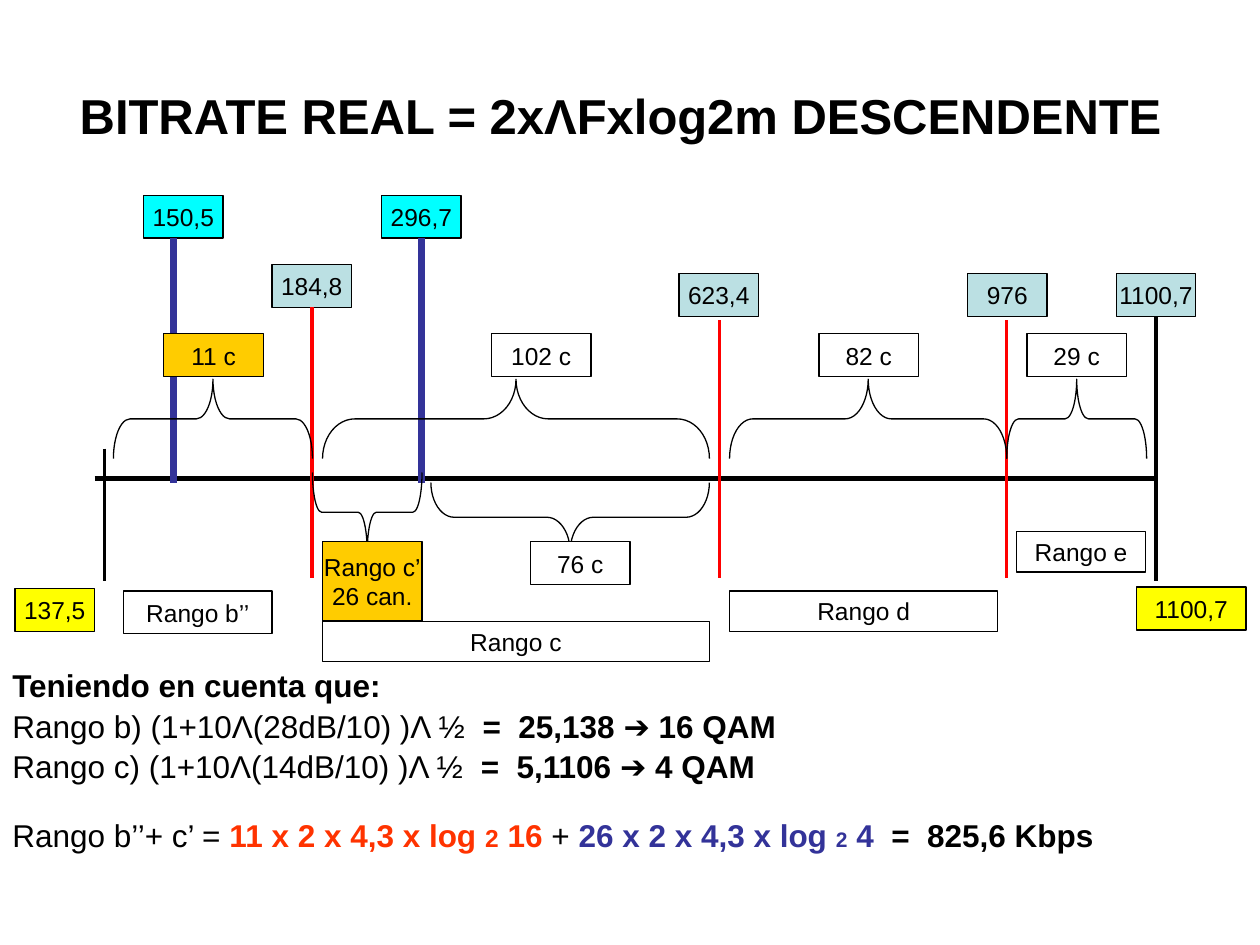
from lxml import etree
from pptx import Presentation
from pptx import util as u
from pptx.dml.color import RGBColor
from pptx.enum import shapes, text
from pptx.oxml import ns

COLORS = {
    "black": "000000",
    "white": "FFFFFF",
    "red": "FF0000",
    "orange_red": "FF3300",
    "navy": "333399",
    "cyan": "00FFFF",
    "pale_blue": "BBE0E3",
    "yellow": "FFFF00",
    "amber": "FFCC00",
}
MARKER_W, COUNT_W, LABEL_H, RANGE_H = 0.63, 0.79, 0.34, 0.32
TOP, BOTTOM = 0, 2


def rgb(name):
    return RGBColor.from_string(COLORS[name])


def write(frame, paragraphs, size=14, bold=False, color="black",
          align=text.PP_ALIGN.LEFT, anchor=text.MSO_ANCHOR.TOP, wrap=True, before=0):
    frame.word_wrap = wrap
    frame.vertical_anchor = anchor
    for index, pieces in enumerate(paragraphs):
        paragraph = frame.paragraphs[0] if index == 0 else frame.add_paragraph()
        paragraph.alignment = align
        paragraph.space_before = u.Pt(before)
        for wording, changes in pieces:
            run = paragraph.add_run()
            run.text = wording
            run.font.name = "Arial"
            run.font.size = u.Pt(changes.get("size", size))
            run.font.bold = changes.get("bold", bold)
            run.font.color.rgb = rgb(changes.get("color", color))


def add_label(slide, wording, left, top, width, height=LABEL_H, fill="white"):
    label = slide.shapes.add_shape(
        shapes.MSO_SHAPE.RECTANGLE,
        u.Inches(left), u.Inches(top), u.Inches(width), u.Inches(height))
    label.shadow.inherit = False
    label.fill.solid()
    label.fill.fore_color.rgb = rgb(fill)
    label.line.color.rgb = rgb("black")
    label.line.width = u.Pt(0.75)
    write(label.text_frame, [[(line, {})] for line in wording.split("\n")],
          align=text.PP_ALIGN.CENTER, anchor=text.MSO_ANCHOR.MIDDLE, wrap=False)
    return label


def add_line(slide, start, end, color="black", width=2, source=None):
    line = slide.shapes.add_connector(
        shapes.MSO_CONNECTOR.STRAIGHT, *map(u.Inches, (*start, *end)))
    line.line.color.rgb = rgb(color)
    line.line.width = u.Pt(width)
    etree.SubElement(line._element.spPr, ns.qn("a:effectLst"))
    if source is not None:
        line.begin_connect(source, BOTTOM)


def add_brace(slide, start, end, top, depth=0.63, rotation=90):
    span = end - start
    left = (start + end - depth) / 2
    brace = slide.shapes.add_shape(
        shapes.MSO_SHAPE.LEFT_BRACE,
        u.Inches(left), u.Inches(top + (depth - span) / 2),
        u.Inches(depth), u.Inches(span))
    brace.rotation = rotation
    brace.adjustments[0] = span / 12 / depth
    brace.shadow.inherit = False
    brace.fill.background()
    brace.line.color.rgb = rgb("black")
    brace.line.width = u.Pt(0.75)


def add_textbox(slide, pieces, left, top, width, height, grow=True, **style):
    frame = slide.shapes.add_textbox(
        u.Inches(left), u.Inches(top), u.Inches(width), u.Inches(height)).text_frame
    if grow:
        frame.auto_size = text.MSO_AUTO_SIZE.SHAPE_TO_FIT_TEXT
    write(frame, [pieces], **style)


def add_frequency_axis(slide):
    add_line(slide, (0.75, 3.8), (9.17, 3.8), width=3)
    add_line(slide, (0.83, 3.56), (0.83, 4.61))
    add_label(slide, "137,5", 0.12, 4.67, MARKER_W, fill="yellow")
    add_label(slide, "1100,7", 9.02, 4.66, 0.87, fill="yellow")

    markers = [
        ("184,8", 2.16, 2.1, "pale_blue", 2.48, None, 4.59, "red", 2),
        ("623,4", 5.39, 2.17, "pale_blue", 5.71, 2.54, 4.59, "red", 2),
        ("976", 7.68, 2.17, "pale_blue", 7.99, 2.54, 4.59, "red", 2),
        ("1100,7", 8.86, 2.17, "pale_blue", 9.17, None, 4.61, "black", 2),
        ("150,5", 1.14, 1.55, "cyan", 1.38, 1.89, 3.83, "navy", 4),
        ("296,7", 3.03, 1.55, "cyan", 3.35, None, 3.83, "navy", 4),
    ]
    for wording, left, top, fill, x, start, end, color, width in markers:
        marker = add_label(slide, wording, left, top, MARKER_W, fill=fill)
        if start is None:
            x = left + MARKER_W / 2
            add_line(slide, (x, top + LABEL_H), (x, end), color, width, source=marker)
        else:
            add_line(slide, (x, start), (x, end), color, width)


def add_channel_counts(slide):
    for start, end in [(0.9, 2.48), (2.56, 5.63), (5.79, 7.99), (7.99, 9.1)]:
        add_brace(slide, start, end, 3.01)
    add_brace(slide, 2.48, 3.35, 3.75, rotation=270)
    add_brace(slide, 3.42, 5.63, 3.83, depth=0.55, rotation=270)

    for wording, left, fill in [("11 c", 1.3, "amber"), ("102 c", 3.9, "white"),
                                ("82 c", 6.5, "white"), ("29 c", 8.15, "white")]:
        add_label(slide, wording, left, 2.65, COUNT_W, fill=fill)
    add_label(slide, "76 c", 4.21, 4.3, COUNT_W)


def add_ranges(slide):
    add_label(slide, "Rango b’’", 0.98, 4.69, 1.18)
    add_label(slide, "Rango c’\n26 can.", 2.56, 4.3, COUNT_W, 0.63, fill="amber")
    add_label(slide, "Rango c", 2.56, 4.93, 3.07, RANGE_H)
    add_label(slide, "Rango d", 5.79, 4.69, 2.13, RANGE_H)
    add_label(slide, "Rango e", 8.07, 4.22, 1.02, RANGE_H)


def add_calculations(slide):
    strong = {"bold": True}
    b_term = {"bold": True, "color": "orange_red"}
    c_term = {"bold": True, "color": "navy"}
    calculations = [
        (5.24, [("Teniendo en cuenta que:", strong)]),
        (5.56, [("Rango b) (1+10Λ(28dB/10) )Λ ½  ", {}),
                ("=  25,138 ➔ 16 QAM", strong)]),
        (5.88, [("Rango c) (1+10Λ(14dB/10) )Λ ½  ", {}),
                ("=  5,1106 ➔ 4 QAM", strong)]),
        (6.43, [("Rango b’’+ c’ = ", {}),
                ("11 x 2 x 4,3 x log ", b_term), ("2", {**b_term, "size": 14}),
                (" 16", b_term), (" + ", {}),
                ("26 x 2 x 4,3 x log ", c_term), ("2", {**c_term, "size": 12}),
                (" 4  ", c_term), ("=  825,6 Kbps", strong)]),
    ]
    for top, pieces in calculations:
        add_textbox(slide, pieces, 0, top, 9.73, 0.4, size=18, before=11.2)


def main():
    deck = Presentation()
    deck.slide_width, deck.slide_height = u.Inches(10), u.Inches(7.5)
    slide = deck.slides.add_slide(deck.slide_layouts[6])
    add_textbox(slide, [("BITRATE REAL = 2xΛFxlog2m DESCENDENTE", {})],
                0.2, 0.36, 9.45, 1.1, grow=False, size=28, bold=True,
                align=text.PP_ALIGN.CENTER, anchor=text.MSO_ANCHOR.MIDDLE)
    add_frequency_axis(slide)
    add_channel_counts(slide)
    add_ranges(slide)
    add_calculations(slide)
    deck.save("out.pptx")


if __name__ == "__main__":
    main()
